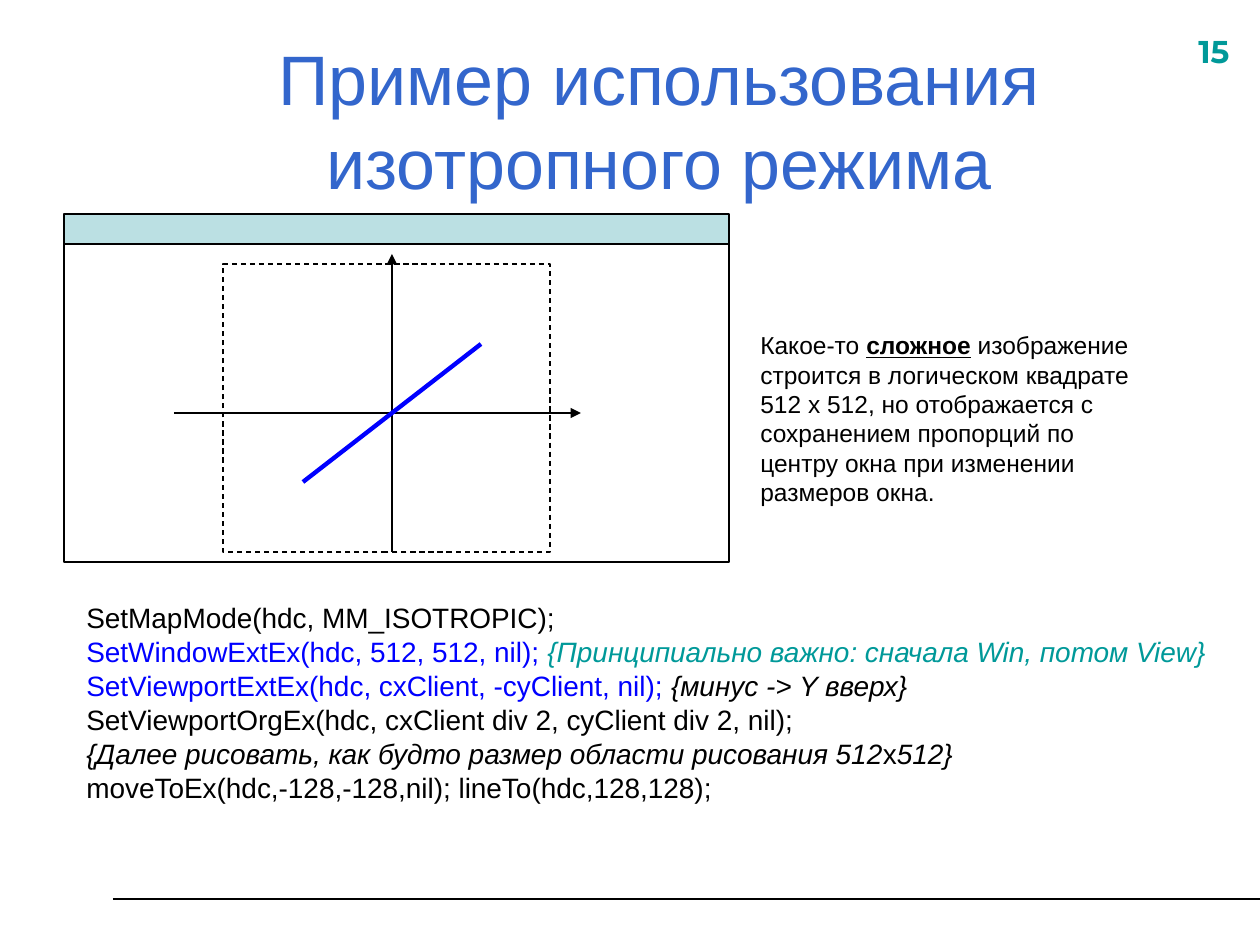
import pptx
import pptx.util
import pptx.dml.color
import pptx.enum.dml
import pptx.enum.shapes
import pptx.enum.text
import pptx.oxml

PX = 914400 // 126
THEME = {
    "black": "000000", "white": "FFFFFF", "blue": "0000FF", "teal": "009999",
    "title": "3366CC", "caption": "BBE0E3",
    "title_size": 40, "number_size": 18, "code_size": 16, "note_size": 14,
    "font": "Arial", "number_font": "Montserrat",
}


def add_text(area, paragraphs, size, font=THEME["font"]):
    box = page.shapes.add_textbox(*[value * PX for value in area])
    frame = box.text_frame
    frame.word_wrap = True
    for index, spans in enumerate(paragraphs):
        para = frame.paragraphs[0] if index == 0 else frame.add_paragraph()
        for text, color, styles in spans:
            span = para.add_run()
            span.text = text
            span.font.name = font
            span.font.size = pptx.util.Pt(THEME[size])
            span.font.color.rgb = pptx.dml.color.RGBColor.from_string(THEME[color])
            span.font.bold = "b" in styles
            span.font.italic = "i" in styles
            span.font.underline = "u" in styles
    return frame


def add_line(ends, color, width, arrow=False):
    line = page.shapes.add_connector(
        pptx.enum.shapes.MSO_CONNECTOR.STRAIGHT, *[value * PX for value in ends])
    line.line.color.rgb = pptx.dml.color.RGBColor.from_string(THEME[color])
    line.line.width = pptx.util.Pt(width)
    properties = line._element.spPr
    if arrow:
        tail = pptx.oxml.parse_xml(
            '<a:tailEnd xmlns:a="http://schemas.openxmlformats.org/drawingml/2006/main"'
            ' type="triangle"/>')
        line.line._get_or_add_ln().append(tail)
    properties.append(pptx.oxml.parse_xml(
        '<a:effectLst xmlns:a="http://schemas.openxmlformats.org/drawingml/2006/main"/>'))


deck = pptx.Presentation()
deck.slide_width = pptx.util.Inches(10)
deck.slide_height = pptx.util.Inches(7.5)
page = deck.slides.add_slide(deck.slide_layouts[6])

add_line((113, 899, 1260, 899), "black", 1.25)
add_text((1186, 26, 79, 55), [[("15", "teal", "b")]], "number_size", THEME["number_font"])

title = add_text((92, 40, 1134, 158),
                 [[("Пример использования изотропного режима", "title", "")]], "title_size")
title.vertical_anchor = pptx.enum.text.MSO_ANCHOR.MIDDLE
title.paragraphs[0].alignment = pptx.enum.text.PP_ALIGN.CENTER

code = add_text((74, 601, 1160, 258), [
    [("SetMapMode(hdc, MM_ISOTROPIC);", "black", "")],
    [("SetWindowExtEx(hdc, 512, 512, nil); ", "blue", ""),
     ("{Принципиально важно: сначала Win, потом View}", "teal", "i")],
    [("SetViewportExtEx(hdc, cxClient, -cyClient, nil); ", "blue", ""),
     ("{минус -> Y вверх}", "black", "i")],
    [("SetViewportOrgEx(hdc, cxClient div 2, cyClient div 2, nil);", "black", "")],
    [("{Далее рисовать, как будто размер области рисования 512", "black", "i"),
     ("x", "black", ""), ("512}", "black", "i")],
    [("moveToEx(hdc,-128,-128,nil); lineTo(hdc,128,128);", "black", "")],
], "code_size")
for index, para in enumerate(code.paragraphs):
    para.line_spacing = 0.8
    para.space_before = pptx.util.Pt(4 if index else 0)
    indent = para._p.get_or_add_pPr()
    indent.set("marL", str(48 * PX))
    indent.set("indent", str(-48 * PX))

window_parts = [
    ((64, 214, 665, 30), "caption"),
    ((64, 244, 665, 318), "white"),
    ((223, 264, 327, 288), None),
]
axes = [(392, 552, 392, 254), (174, 413, 581, 413)]
for area, fill in window_parts:
    if fill is None:
        for ends in axes:
            add_line(ends, "black", 0.75, arrow=True)
    part = page.shapes.add_shape(
        pptx.enum.shapes.MSO_SHAPE.RECTANGLE, *[value * PX for value in area])
    part.shadow.inherit = False
    part.line.color.rgb = pptx.dml.color.RGBColor.from_string(THEME["black"])
    part.line.width = pptx.util.Pt(0.75)
    if fill is None:
        part.fill.background()
        part.line.dash_style = pptx.enum.dml.MSO_LINE.DASH
    else:
        part.fill.solid()
        part.fill.fore_color.rgb = pptx.dml.color.RGBColor.from_string(THEME[fill])
add_line((303, 482, 481, 344), "blue", 2.5)

add_text((748, 324, 417, 189), [[
    ("Какое-то ", "black", ""), ("сложное", "black", "bu"),
    (" изображение строится в логическом квадрате 512 х 512, но отображается с "
     "сохранением пропорций по центру окна при изменении размеров окна.", "black", ""),
]], "note_size")

deck.save("out.pptx")
